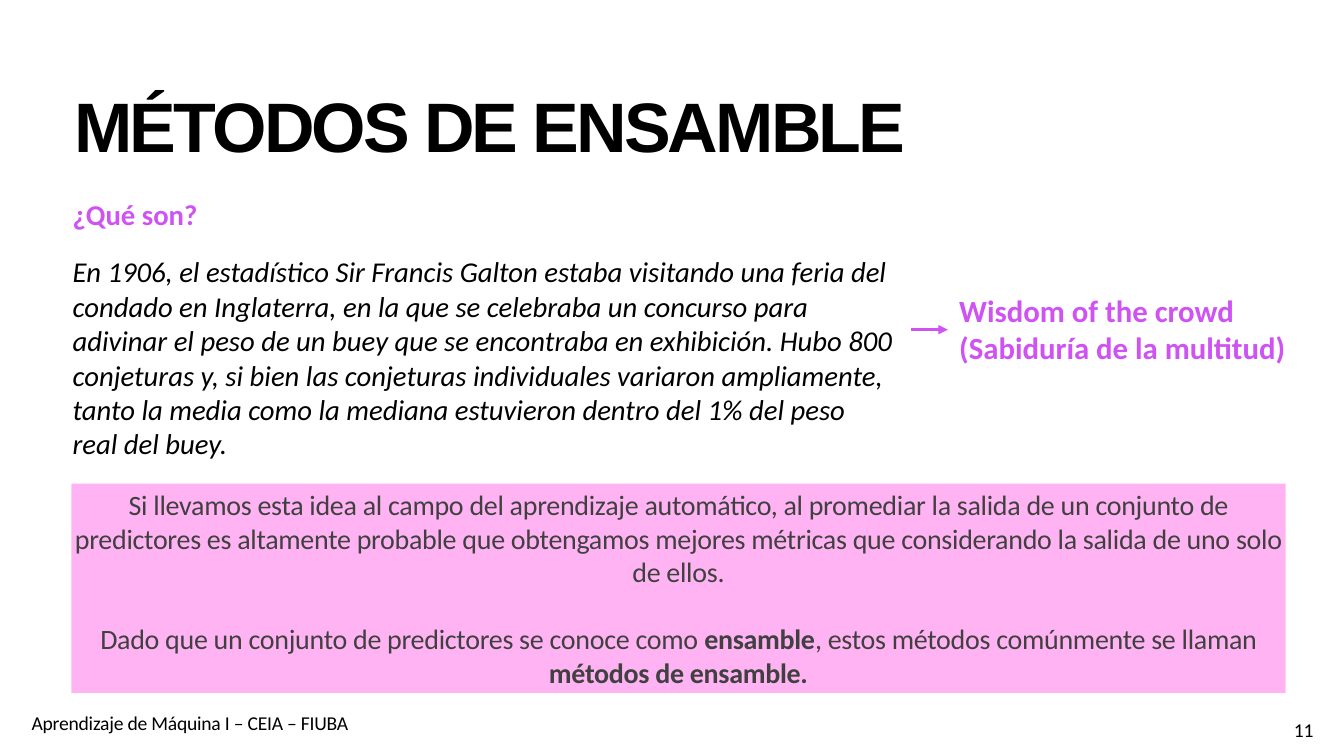
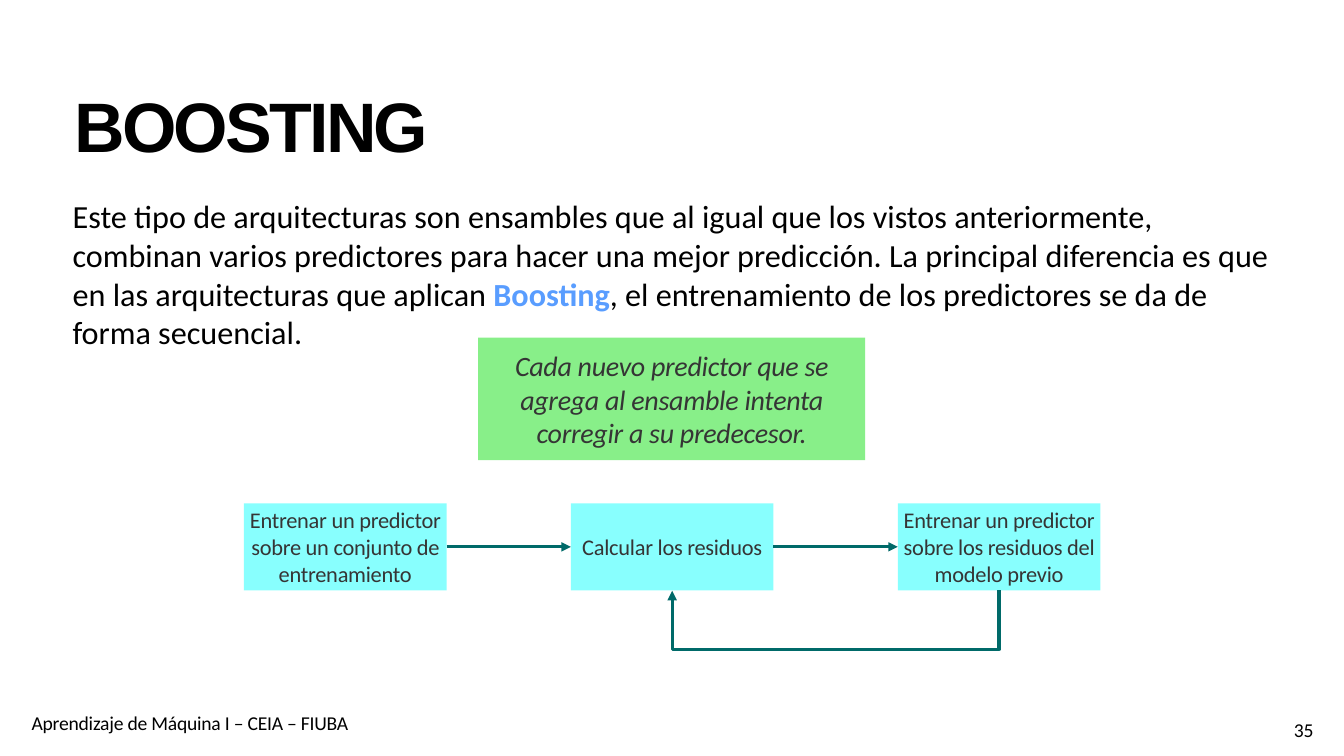
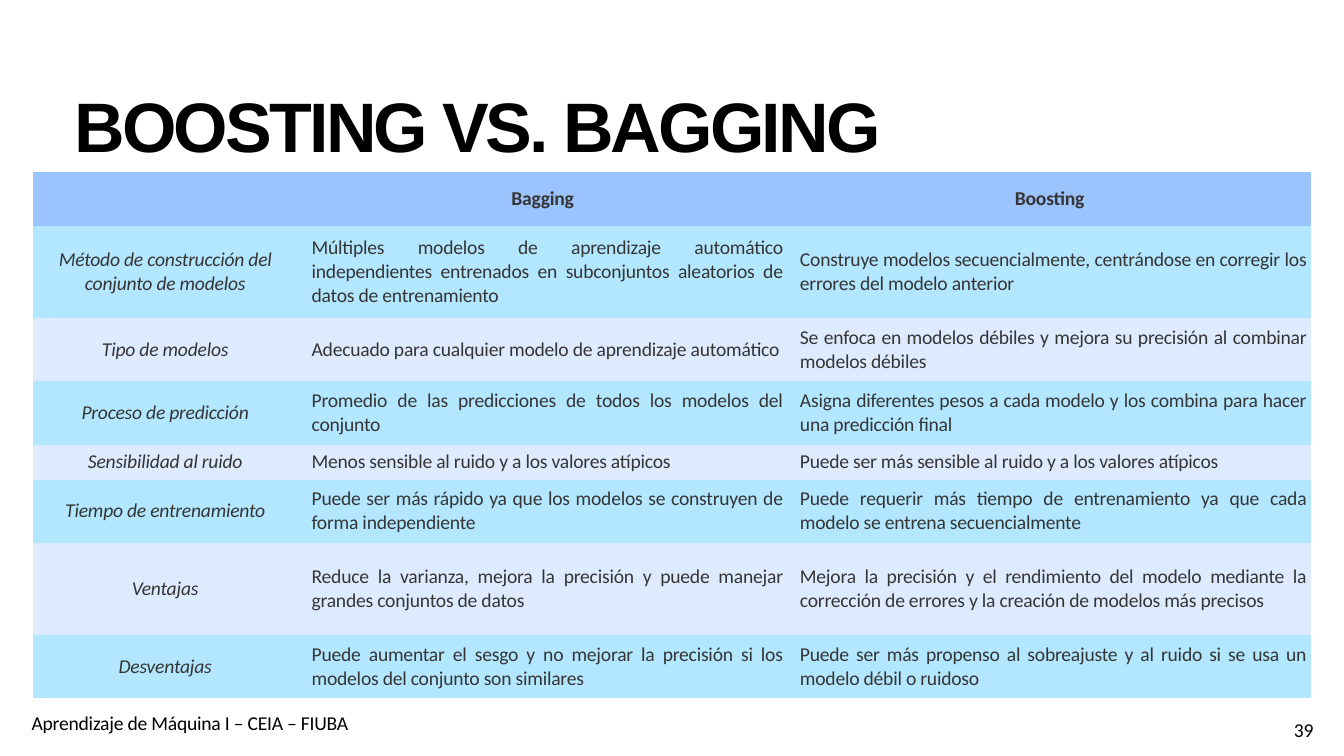
from lxml import etree
from pptx import Presentation
from pptx.dml.color import RGBColor
from pptx.enum.shapes import MSO_CONNECTOR, MSO_SHAPE
from pptx.enum.text import MSO_ANCHOR, MSO_AUTO_SIZE, PP_ALIGN
from pptx.oxml.ns import qn
from pptx.util import Pt

LEFT, CENTER, JUSTIFY = PP_ALIGN.LEFT, PP_ALIGN.CENTER, PP_ALIGN.JUSTIFY
TOP, MIDDLE = MSO_ANCHOR.TOP, MSO_ANCHOR.MIDDLE
STRAIGHT, ELBOW = MSO_CONNECTOR.STRAIGHT, MSO_CONNECTOR.ELBOW

# Shared look
BLACK, GRAY, DARK = "000000", "404040", "353535"
PURPLE, PINK, BLUE = "CF53F2", "FFB3F2", "599DFF"
GREEN, CYAN, TEAL = "88EF89", "88FFFE", "006A69"
HEADER_FILL, BAND_FILLS = "9BC4FF", ("B2E7FF", "DEEBFF")
TITLE_FONT, BODY_FONT = "Arial", "Calibri"
INSET = 4.3
DEFAULT_INSETS = (7.2, 3.6, 7.2, 3.6)
NO_STYLE = "{2D5ABB26-0587-4C30-8999-92F81FD0307C}"

# Content: a paragraph is a list of (text, changes) runs
FOOTER = "Aprendizaje de Máquina I – CEIA – FIUBA"

QUESTION = "¿Qué son?"
STORY = (
    "En 1906, el estadístico Sir Francis Galton estaba visitando una feria del "
    "condado en Inglaterra, en la que se celebraba un concurso para adivinar el "
    "peso de un buey que se encontraba en exhibición. Hubo 800 conjeturas y, si "
    "bien las conjeturas individuales variaron ampliamente, tanto la media como "
    "la mediana estuvieron dentro del 1% del peso real del buey."
)
WISDOM = "Wisdom of the crowd (Sabiduría de la multitud)"
IDEA = [
    [("Si llevamos esta idea al campo del aprendizaje automático, al promediar la "
      "salida de un conjunto de predictores es altamente probable que obtengamos "
      "mejores métricas que considerando la salida de uno solo de ellos.", {})],
    [("Dado que un conjunto de predictores se conoce como ", {}),
     ("ensamble", {"bold": True}),
     (", estos métodos comúnmente se llaman ", {}),
     ("métodos de ensamble.", {"bold": True})],
]

BOOSTING_INTRO = [
    ("Este tipo de arquitecturas son ensambles que al igual que los vistos "
     "anteriormente, combinan varios predictores para hacer una mejor predicción. "
     "La principal diferencia es que en las arquitecturas que aplican ", {}),
    ("Boosting", {"bold": True, "color": BLUE}),
    (", el entrenamiento de los predictores se da de forma secuencial.", {}),
]
KEY_IDEA = ("Cada nuevo predictor que se agrega al ensamble intenta corregir a su "
            "predecesor.")
STEPS = [
    "Entrenar un predictor sobre un conjunto de entrenamiento",
    "Calcular los residuos",
    "Entrenar un predictor sobre los residuos del modelo previo",
]

COMPARISON = [
    ("", "Bagging", "Boosting"),
    ("Método de construcción del conjunto de modelos",
     "Múltiples modelos de aprendizaje automático independientes entrenados en "
     "subconjuntos aleatorios de datos de entrenamiento",
     "Construye modelos secuencialmente, centrándose en corregir los errores del "
     "modelo anterior"),
    ("Tipo de modelos",
     "Adecuado para cualquier modelo de aprendizaje automático",
     "Se enfoca en modelos débiles y mejora su precisión al combinar modelos débiles"),
    ("Proceso de predicción",
     "Promedio de las predicciones de todos los modelos del conjunto",
     "Asigna diferentes pesos a cada modelo y los combina para hacer una "
     "predicción final"),
    ("Sensibilidad al ruido",
     "Menos sensible al ruido y a los valores atípicos",
     "Puede ser más sensible al ruido y a los valores atípicos"),
    ("Tiempo de entrenamiento",
     "Puede ser más rápido ya que los modelos se construyen de forma independiente",
     "Puede requerir más tiempo de entrenamiento ya que cada modelo se entrena "
     "secuencialmente"),
    ("Ventajas",
     "Reduce la varianza, mejora la precisión y puede manejar grandes conjuntos "
     "de datos",
     "Mejora la precisión y el rendimiento del modelo mediante la corrección de "
     "errores y la creación de modelos más precisos"),
    ("Desventajas",
     "Puede aumentar el sesgo y no mejorar la precisión si los modelos del "
     "conjunto son similares",
     "Puede ser más propenso al sobreajuste y al ruido si se usa un modelo débil "
     "o ruidoso"),
]
COLUMN_WIDTHS = (378, 700.5, 748)
COLUMN_LEFT_INSETS = (7.2, 20.2, 17.3)
ROW_HEIGHTS = (77, 131, 90.7, 90.7, 49.7, 90.7, 131, 90.7)


def rgb(color):
    return RGBColor.from_string(color)


def style_font(font, color=None, size=None, name=None, bold=None, italic=None):
    if color:
        font.color.rgb = rgb(color)
    if size:
        font.size = Pt(size)
    if name:
        font.name = name
    if bold is not None:
        font.bold = bold
    if italic is not None:
        font.italic = italic


def write_paragraph(paragraph, content, size, color, name=BODY_FONT, bold=False,
                    italic=False, align=LEFT, tracking=0, line_spacing=None,
                    before=None):
    """Write a string or a list of runs in one style."""
    runs = [(content, {})] if isinstance(content, str) else content
    for text, changes in runs:
        run = paragraph.add_run()
        run.text = text
        style_font(run.font, **changes)
        if tracking:
            run.font._element.set("spc", str(round(tracking * 100)))
    paragraph.alignment = align
    if line_spacing:
        paragraph.line_spacing = line_spacing
    if before:
        paragraph.space_before = Pt(before)
    style_font(paragraph.font, color, size, name, bold, italic)


def prepare_frame(shape, insets=(INSET,) * 4, anchor=TOP):
    frame = shape.text_frame
    frame.word_wrap = True
    frame.auto_size = MSO_AUTO_SIZE.NONE
    frame.vertical_anchor = anchor
    (frame.margin_left, frame.margin_top,
     frame.margin_right, frame.margin_bottom) = map(Pt, insets)
    return frame


def add_text(slide, box, content, insets=(INSET,) * 4, **style):
    shape = slide.shapes.add_textbox(*map(Pt, box))
    frame = prepare_frame(shape, insets)
    write_paragraph(frame.paragraphs[0], content, **style)
    return frame


def add_block(slide, box, fill, content, **style):
    """Add a filled rectangle with centred text."""
    shape = slide.shapes.add_shape(MSO_SHAPE.RECTANGLE, *map(Pt, box))
    shape.shadow.inherit = False
    shape.fill.solid()
    shape.fill.fore_color.rgb = rgb(fill)
    shape.line.fill.background()
    frame = prepare_frame(shape, anchor=MIDDLE)
    write_paragraph(frame.paragraphs[0], content, align=CENTER, tracking=-0.4, **style)
    return frame


def add_arrow(slide, kind, start, end, color):
    connector = slide.shapes.add_connector(kind, *map(Pt, start + end))
    connector.line.color.rgb = rgb(color)
    connector.line.width = Pt(4.5)
    etree.SubElement(connector.line._get_or_add_ln(), qn("a:tailEnd"), type="triangle")
    etree.SubElement(connector._element.spPr, qn("a:effectLst"))
    return connector


def add_return_arrow(slide, start_x, end_x, y, drop, color):
    """Add an elbow that drops below y, runs left and comes back up."""
    length = start_x - end_x
    middle = (start_x + end_x) / 2
    # A one-point-wide elbow turned a quarter; its bend lies `drop` widths away
    left, top = middle - 0.5, y - length / 2
    connector = add_arrow(slide, ELBOW, (left, top), (left + 1, top + length), color)
    properties = connector._element.spPr
    properties.find(qn("a:xfrm")).set("rot", str(90 * 60000))
    geometry = properties.find(qn("a:prstGeom"))
    adjustments = geometry.find(qn("a:avLst"))
    if adjustments is None:
        adjustments = etree.SubElement(geometry, qn("a:avLst"))
    etree.SubElement(adjustments, qn("a:gd"), name="adj1",
                     fmla=f"val {round(drop * 100000)}")


def add_slide(presentation, title, number):
    """Add a slide with its title, footer and page number."""
    slide = presentation.slides.add_slide(presentation.slide_layouts[5])
    shape = slide.shapes.title
    shape.left, shape.top, shape.width, shape.height = map(Pt, (102, 127.5, 1722, 139.5))
    write_paragraph(prepare_frame(shape).paragraphs[0], title, 100, BLACK, TITLE_FONT,
                    bold=True, tracking=-4, line_spacing=0.9)
    for box, text, align in (((38, 1019, 599, 37), FOOTER, LEFT),
                             ((1818, 1028, 89, 40), str(number), CENTER)):
        add_text(slide, box, text, DEFAULT_INSETS, size=28, color=BLACK, align=align,
                 tracking=-0.3, line_spacing=0.8)
    return slide


def build_ensemble(presentation):
    slide = add_slide(presentation, "MÉTODOS DE ENSAMBLE", 11)
    frame = add_text(slide, (99.4, 276.5, 1183.7, 751), QUESTION, size=41,
                     color=PURPLE, bold=True)
    write_paragraph(frame.add_paragraph(), STORY, 41, BLACK, italic=True, before=33)
    add_text(slide, (1366, 412, 514, 175.7), WISDOM, size=44, color=PURPLE, bold=True)
    add_arrow(slide, STRAIGHT, (1302, 471), (1354, 471), PURPLE)

    # Conclusion
    frame = add_block(slide, (102, 691, 1734.5, 299), PINK, IDEA[0], size=40, color=GRAY)
    write_paragraph(frame.add_paragraph(), IDEA[1], 40, GRAY, align=CENTER,
                    tracking=-0.4, before=48)


def build_boosting(presentation):
    slide = add_slide(presentation, "BOOSTING", 35)
    add_text(slide, (99.4, 276.5, 1722, 751), BOOSTING_INTRO, size=46, color=BLACK)

    # Training loop
    left, top, width, height, step = 348.5, 719, 289.5, 124.5, 467
    lefts = [left + step * index for index in range(len(STEPS))]
    for box_left, text in zip(lefts, STEPS):
        add_block(slide, (box_left, top, width, height), CYAN, text, size=32, color=DARK)
    middle = top + height / 2
    for box_left, next_left in zip(lefts, lefts[1:]):
        add_arrow(slide, STRAIGHT, (box_left + width, middle), (next_left, middle), TEAL)
    add_return_arrow(slide, lefts[2] + width / 2, lefts[1] + width / 2, top + height,
                     85.5, TEAL)

    add_block(slide, (683, 482.5, 553, 175), GREEN, KEY_IDEA, size=40, color=DARK,
              italic=True)


def build_comparison(presentation):
    slide = add_slide(presentation, "BOOSTING VS. BAGGING", 39)
    frame = slide.shapes.add_table(
        len(ROW_HEIGHTS), len(COLUMN_WIDTHS), Pt(47), Pt(246),
        Pt(sum(COLUMN_WIDTHS)), Pt(sum(ROW_HEIGHTS)))
    table = frame.table
    table._tbl.tblPr.find(qn("a:tableStyleId")).text = NO_STYLE
    for column, width in zip(table.columns, COLUMN_WIDTHS):
        column.width = Pt(width)
    for row, height in zip(table.rows, ROW_HEIGHTS):
        row.height = Pt(height)

    for row_index, texts in enumerate(COMPARISON):
        header = row_index == 0
        fill = HEADER_FILL if header else BAND_FILLS[(row_index - 1) % 2]
        for column_index, text in enumerate(texts):
            cell = table.cell(row_index, column_index)
            cell.fill.solid()
            cell.fill.fore_color.rgb = rgb(fill)
            cell.vertical_anchor = MIDDLE
            label = column_index == 0
            if not header:
                cell.margin_left = Pt(COLUMN_LEFT_INSETS[column_index])
            if text:
                write_paragraph(cell.text_frame.paragraphs[0], text, 28, DARK,
                                bold=header, italic=label, tracking=-0.3,
                                align=CENTER if header or label else JUSTIFY)


def main():
    presentation = Presentation()
    presentation.slide_width, presentation.slide_height = Pt(1920), Pt(1080)
    build_ensemble(presentation)
    build_boosting(presentation)
    build_comparison(presentation)
    presentation.save("out.pptx")


if __name__ == "__main__":
    main()
